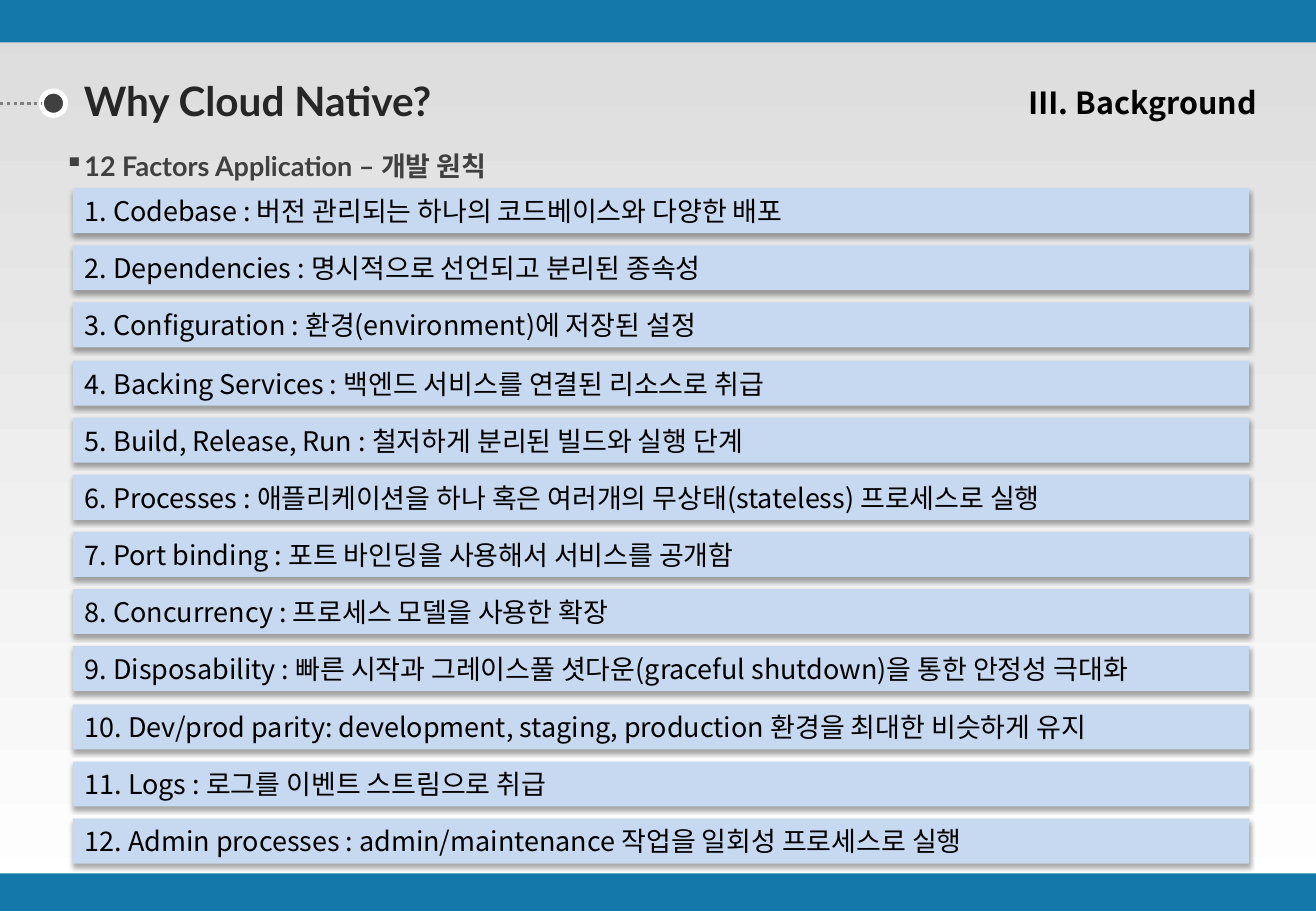
from lxml.etree import SubElement
from pptx import Presentation
from pptx.dml.color import RGBColor
from pptx.enum.dml import MSO_LINE
from pptx.enum.shapes import MSO_CONNECTOR, MSO_SHAPE
from pptx.enum.text import MSO_ANCHOR, PP_ALIGN
from pptx.oxml.ns import qn
from pptx.util import Pt

PX = 9144
WIDTH, HEIGHT = 1083, 750
LATO, NOTO = "Lato", "Noto Sans CJK KR"
BLUE, ROW_BLUE, BLACK = "1478AA", "C6D9F1", "000000"

FACTORS = [
    "1. Codebase : 버전 관리되는 하나의 코드베이스와 다양한 배포",
    "2. Dependencies : 명시적으로 선언되고 분리된 종속성",
    "3. Configuration : 환경(environment)에 저장된 설정",
    "4. Backing Services : 백엔드 서비스를 연결된 리소스로 취급",
    "5. Build, Release, Run : 철저하게 분리된 빌드와 실행 단계",
    "6. Processes : 애플리케이션을 하나 혹은 여러개의 무상태(stateless) 프로세스로 실행",
    "7. Port binding : 포트 바인딩을 사용해서 서비스를 공개함",
    "8. Concurrency : 프로세스 모델을 사용한 확장",
    "9. Disposability : 빠른 시작과 그레이스풀 셧다운(graceful shutdown)을 통한 안정성 극대화",
    "10. Dev/prod parity: development, staging, production 환경을 최대한 비슷하게 유지",
    "11. Logs : 로그를 이벤트 스트림으로 취급",
    "12. Admin processes : admin/maintenance 작업을 일회성 프로세스로 실행",
]


def px(*lengths):
    return [length * PX for length in lengths]


def color(hex_code):
    return RGBColor.from_string(hex_code)


def set_frame(frame, insets, anchor, wrap=True):
    frame.margin_left, frame.margin_top, frame.margin_right, frame.margin_bottom = px(*insets)
    frame.vertical_anchor = anchor
    frame.word_wrap = wrap


def add_run(paragraph, text, size, font, hex_code, bold=False):
    run = paragraph.add_run()
    run.text = text
    run.font.size = Pt(size)
    run.font.bold = bold
    run.font.color.rgb = color(hex_code)
    run.font.name = font
    SubElement(run.font._element, qn("a:ea"), typeface=NOTO)


def add_solid(slide, kind, box, fill):
    solid = slide.shapes.add_shape(kind, *px(*box))
    solid.shadow.inherit = False
    solid.fill.solid()
    solid.fill.fore_color.rgb = color(fill)
    solid.line.fill.background()
    return solid


def add_backdrop(slide):
    fill = slide.background.fill
    fill.gradient()
    fill.gradient_angle = 270
    for stop, hex_code in zip(fill.gradient_stops, ("DCDCDC", "FFFFFF")):
        stop.color.rgb = color(hex_code)
    for top, height in ((0, 35), (HEIGHT - 31, 31)):
        add_solid(slide, MSO_SHAPE.RECTANGLE, (0, top, WIDTH, height), BLUE)


def add_heading(slide, left, top, width, height):
    title = slide.shapes.title
    title.left, title.top, title.width, title.height = px(left, top, width, height)
    set_frame(title.text_frame, (35, 0, 20, 0), MSO_ANCHOR.MIDDLE, False)
    paragraph = title.text_frame.paragraphs[0]
    paragraph.alignment = PP_ALIGN.LEFT
    paragraph.line_spacing = 0.9
    add_run(paragraph, "Why Cloud Native?", 24, LATO, "262626", True)

    middle = top + height // 2
    dot = add_solid(slide, MSO_SHAPE.OVAL, (left, middle - 10, 20, 20), "404040")
    dot.line.color.rgb = color("FFFFFF")
    dot.line.width = Pt(3)

    lead = slide.shapes.add_connector(MSO_CONNECTOR.STRAIGHT, *px(0, middle, left, middle))
    lead.line.color.rgb = color("808080")
    lead.line.width = Pt(2)
    lead.line.dash_style = MSO_LINE.ROUND_DOT
    SubElement(lead._element.spPr, qn("a:effectLst"))


def add_section(slide, *box):
    section = slide.shapes.add_textbox(*px(*box))
    set_frame(section.text_frame, (10, 5, 10, 5), MSO_ANCHOR.TOP)
    paragraph = section.text_frame.paragraphs[0]
    paragraph.alignment = PP_ALIGN.RIGHT
    add_run(paragraph, "Ⅲ. Background", 18, NOTO, BLACK, True)


def add_subtitle(slide, *box):
    subtitle = slide.shapes.add_textbox(*px(*box))
    set_frame(subtitle.text_frame, (0, 0, 0, 0), MSO_ANCHOR.TOP, False)
    paragraph = subtitle.text_frame.paragraphs[0]
    properties = paragraph._p.get_or_add_pPr()
    properties.set("marL", str(16 * PX))
    properties.set("indent", str(-16 * PX))
    SubElement(properties, qn("a:buChar"), char="▪")
    add_run(paragraph, "12 Factors Application – 개발 원칙", 16, LATO, "404040", True)


def add_row_shadow(row):
    effects = row._element.spPr.find(qn("a:effectLst"))
    shadow = SubElement(effects, qn("a:outerShdw"), blurRad=str(Pt(3.1)),
                        dist=str(Pt(1.8)), dir="5400000", rotWithShape="0")
    shade = SubElement(shadow, qn("a:srgbClr"), val=BLACK)
    SubElement(shade, qn("a:alpha"), val="35000")


def add_factors(slide, left, top, width, height):
    row_height = 37
    pitch = (height - row_height) / (len(FACTORS) - 1)
    for index, factor in enumerate(FACTORS):
        box = (left, top + round(index * pitch), width, row_height)
        row = add_solid(slide, MSO_SHAPE.RECTANGLE, box, ROW_BLUE)
        add_row_shadow(row)
        set_frame(row.text_frame, (10, 0, 10, 0), MSO_ANCHOR.MIDDLE)
        paragraph = row.text_frame.paragraphs[0]
        paragraph.alignment = PP_ALIGN.LEFT
        add_run(paragraph, factor, 16, NOTO, BLACK)


def main():
    deck = Presentation()
    deck.slide_width, deck.slide_height = px(WIDTH, HEIGHT)
    slide = deck.slides.add_slide(deck.slide_layouts[5])
    add_backdrop(slide)
    add_heading(slide, 34, 67, 348, 36)
    add_subtitle(slide, 53, 123, 364, 27)
    add_section(slide, 537, 64, 507, 42)
    add_factors(slide, 60, 155, 968, 556)
    deck.save("out.pptx")


if __name__ == "__main__":
    main()
